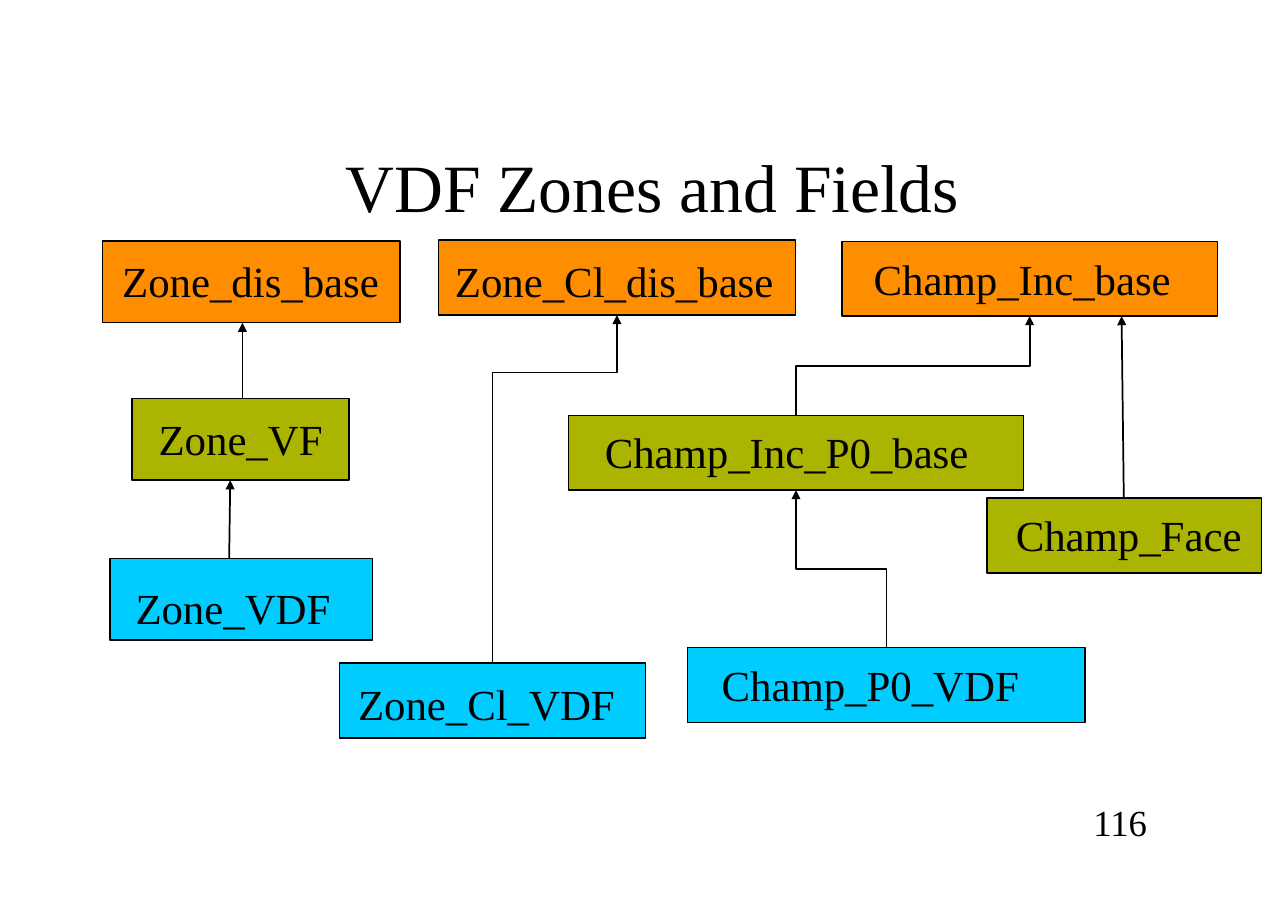
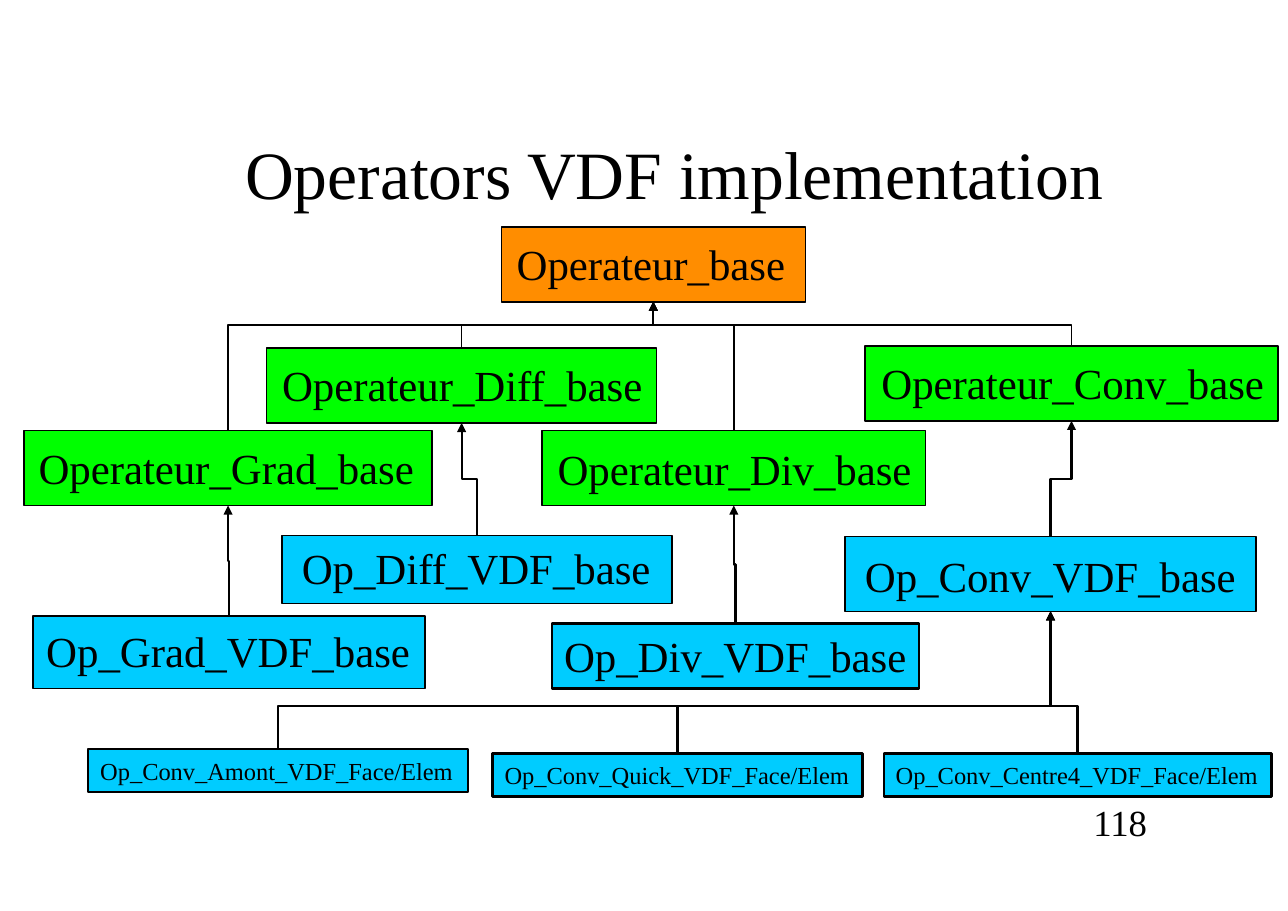
from pptx import Presentation
from pptx.dml.color import RGBColor
from pptx.enum.shapes import MSO_CONNECTOR as LINE, MSO_SHAPE as SHAPE
from pptx.enum.text import MSO_ANCHOR as ANCHOR, MSO_AUTO_SIZE as FIT, PP_ALIGN as ALIGN
from pptx.oxml.ns import qn
from pptx.util import Inches, Pt
from lxml import etree

BLACK = RGBColor(0, 0, 0)
ORANGE = RGBColor(0xFF, 0x8D, 0x00)
OLIVE = RGBColor(0xAB, 0xB4, 0x00)
GREEN = RGBColor(0x00, 0xFF, 0x00)
BLUE = RGBColor(0x00, 0xCC, 0xFF)
FONT = "Times New Roman"
BIG, SMALL = 28, 16
THIN, MID, THICK = 0.99, 1.13, 1.45

# boxes: name, fill, (left, top, width, height), (text left, text top), size, border
# bends: parent, weight, height of the turn (None = halfway), children
# straights: child, x at child, parent, x at parent
SLIDES = [
    dict(
        title="VDF Zones and Fields ", spot=(1.5, 1.06), number="116",
        boxes=[
            ("Zone_dis_base", ORANGE, (0.93, 2.19, 2.7, 0.74), (0.18, 0.12), BIG, THIN),
            ("Zone_Cl_dis_base", ORANGE, (3.98, 2.18, 3.24, 0.68), (0.15, 0.13), BIG, THIN),
            ("Champ_Inc_base", ORANGE, (7.64, 2.19, 3.41, 0.68), (0.29, 0.1), BIG, THIN),
            ("Zone_VF", OLIVE, (1.2, 3.62, 1.97, 0.74), (0.24, 0.13), BIG, THIN),
            ("Champ_Inc_P0_base", OLIVE, (5.16, 3.77, 4.13, 0.68), (0.33, 0.09), BIG, THIN),
            ("Champ_Face", OLIVE, (8.96, 4.52, 2.49, 0.68), (0.26, 0.1), BIG, THIN),
            ("Zone_VDF", BLUE, (1, 5.07, 2.38, 0.74), (0.23, 0.21), BIG, THIN),
            ("Zone_Cl_VDF", BLUE, (3.08, 6.02, 2.78, 0.68), (0.17, 0.13), BIG, THIN),
            ("Champ_P0_VDF", BLUE, (6.24, 5.88, 3.61, 0.68), (0.31, 0.1), BIG, THIN),
        ],
        bends=[
            ("Champ_Inc_base", MID, None, ["Champ_Inc_P0_base"]),
            ("Champ_Inc_P0_base", MID, None, ["Champ_P0_VDF"]),
            ("Zone_Cl_dis_base", MID, 3.38, ["Zone_Cl_VDF"]),
        ],
        straights=[
            ("Zone_VF", 2.2, "Zone_dis_base", 2.2),
            ("Zone_VDF", 2.08, "Zone_VF", 2.09),
            ("Champ_Face", 10.2, "Champ_Inc_base", 10.18),
        ],
    ),
    dict(
        title="Operators VDF implementation", spot=(1.62, 0.94), number="118",
        boxes=[
            ("Operateur_base", ORANGE, (4.55, 2.06, 2.76, 0.68), (0.14, 0.1), BIG, THIN),
            ("Operateur_Diff_base", GREEN, (2.42, 3.16, 3.54, 0.68), (0.14, 0.1), BIG, THIN),
            ("Operateur_Conv_base", GREEN, (7.85, 3.14, 3.75, 0.68), (0.15, 0.1), BIG, THIN),
            ("Operateur_Grad_base", GREEN, (0.22, 3.91, 3.7, 0.68), (0.13, 0.1), BIG, THIN),
            ("Operateur_Div_base", GREEN, (4.92, 3.91, 3.48, 0.68), (0.14, 0.11), BIG, THIN),
            ("Op_Diff_VDF_base", BLUE, (2.56, 4.86, 3.54, 0.62), (0.18, 0.06), BIG, THIN),
            ("Op_Conv_VDF_base", BLUE, (7.67, 4.87, 3.73, 0.68), (0.18, 0.12), BIG, THIN),
            ("Op_Grad_VDF_base", BLUE, (0.3, 5.59, 3.56, 0.66), (0.12, 0.08), BIG, THIN),
            ("Op_Div_VDF_base", BLUE, (5.01, 5.66, 3.33, 0.59), (0.11, 0.06), BIG, THICK),
            ("Op_Conv_Amont_VDF_Face/Elem", BLUE, (0.8, 6.8, 3.45, 0.39),
             (0.11, 0.06), SMALL, THICK),
            ("Op_Conv_Quick_VDF_Face/Elem", BLUE, (4.47, 6.84, 3.36, 0.39),
             (0.11, 0.06), SMALL, THICK),
            ("Op_Conv_Centre4_VDF_Face/Elem", BLUE, (8.02, 6.84, 3.52, 0.39),
             (0.11, 0.06), SMALL, THICK),
        ],
        bends=[
            ("Operateur_base", MID, 2.95,
             ["Operateur_Grad_base", "Operateur_Diff_base",
              "Operateur_Div_base", "Operateur_Conv_base"]),
            ("Operateur_Grad_base", THICK, None, ["Op_Grad_VDF_base"]),
            ("Operateur_Diff_base", THICK, None, ["Op_Diff_VDF_base"]),
            ("Operateur_Div_base", THICK, None, ["Op_Div_VDF_base"]),
            ("Operateur_Conv_base", THICK, None, ["Op_Conv_VDF_base"]),
            ("Op_Conv_VDF_base", THICK, 6.41,
             ["Op_Conv_Amont_VDF_Face/Elem", "Op_Conv_Quick_VDF_Face/Elem",
              "Op_Conv_Centre4_VDF_Face/Elem"]),
        ],
        straights=[],
    ),
]


def write(frame, text, size, align, anchor):
    frame.text = text
    frame.word_wrap = True
    frame.auto_size = FIT.NONE
    frame.vertical_anchor = anchor
    para = frame.paragraphs[0]
    para.alignment = align
    font = para.runs[0].font
    font.name, font.size, font.color.rgb = FONT, Pt(size), BLACK


def add_box(slide, name, fill, area, inset, size, border):
    box = slide.shapes.add_shape(SHAPE.RECTANGLE, *map(Inches, area))
    box.shadow.inherit = False
    box.fill.solid()
    box.fill.fore_color.rgb = fill
    box.line.color.rgb = BLACK
    box.line.width = Pt(border)
    frame = box.text_frame
    write(frame, name, size, ALIGN.LEFT, ANCHOR.TOP)
    frame.margin_left, frame.margin_top = map(Inches, inset)
    frame.margin_right = frame.margin_bottom = 0


def add_arrow(slide, kind, ends, weight):
    arrow = slide.shapes.add_connector(kind, *map(Inches, ends))
    arrow.line.color.rgb = BLACK
    arrow.line.width = Pt(weight)
    etree.SubElement(arrow.line._get_or_add_ln(), qn("a:tailEnd"), type="triangle")
    props = arrow._element.spPr
    etree.SubElement(props, qn("a:effectLst"))
    return props


def add_bend(slide, x1, y1, x2, y2, turn, weight):
    """Draw an elbow that leaves upwards: a sideways one, turned a quarter."""
    mid_x, mid_y = (x1 + x2) / 2, (y1 + y2) / 2
    half_w, half_h = (y1 - y2) / 2, abs(x2 - x1) / 2
    side, angle = (1, 90) if x2 > x1 else (-1, 270)
    ends = (mid_x + side * half_w, mid_y + half_h,
            mid_x - side * half_w, mid_y - half_h)
    props = add_arrow(slide, LINE.ELBOW, ends, weight)
    props.find(qn("a:xfrm")).set("rot", str(angle * 60000))
    share = 0.5 if turn is None else (y1 - turn) / (y1 - y2)
    guides = props.find(qn("a:prstGeom")).find(qn("a:avLst"))
    etree.SubElement(guides, qn("a:gd"), name="adj1", fmla=f"val {round(share * 100000)}")


deck = Presentation()
deck.slide_width, deck.slide_height = Inches(11.69), Inches(8.27)

for page in SLIDES:
    slide = deck.slides.add_slide(deck.slide_layouts[5])

    # Title and page number
    title = slide.shapes.title
    title.left, title.top = map(Inches, page["spot"])
    title.width, title.height = Inches(9), Inches(1.25)
    write(title.text_frame, page["title"], 44.2, ALIGN.CENTER, ANCHOR.MIDDLE)
    number = slide.shapes.add_textbox(*map(Inches, (9.68, 7.21, 0.83, 0.5)))
    write(number.text_frame, page["number"], 24, ALIGN.RIGHT, ANCHOR.MIDDLE)

    # Class boxes
    for box in page["boxes"]:
        add_box(slide, *box)
    areas = {name: area for name, _, area, *_ in page["boxes"]}
    centre = {name: left + width / 2 for name, (left, _, width, _) in areas.items()}
    top = {name: area[1] for name, area in areas.items()}
    foot = {name: area[1] + area[3] for name, area in areas.items()}

    # Inheritance arrows, from child to parent
    for parent, weight, turn, children in page["bends"]:
        for child in children:
            add_bend(slide, centre[child], top[child],
                     centre[parent], foot[parent], turn, weight)
    for child, x1, parent, x2 in page["straights"]:
        add_arrow(slide, LINE.STRAIGHT, (x1, top[child], x2, foot[parent]), MID)

deck.save("out.pptx")
